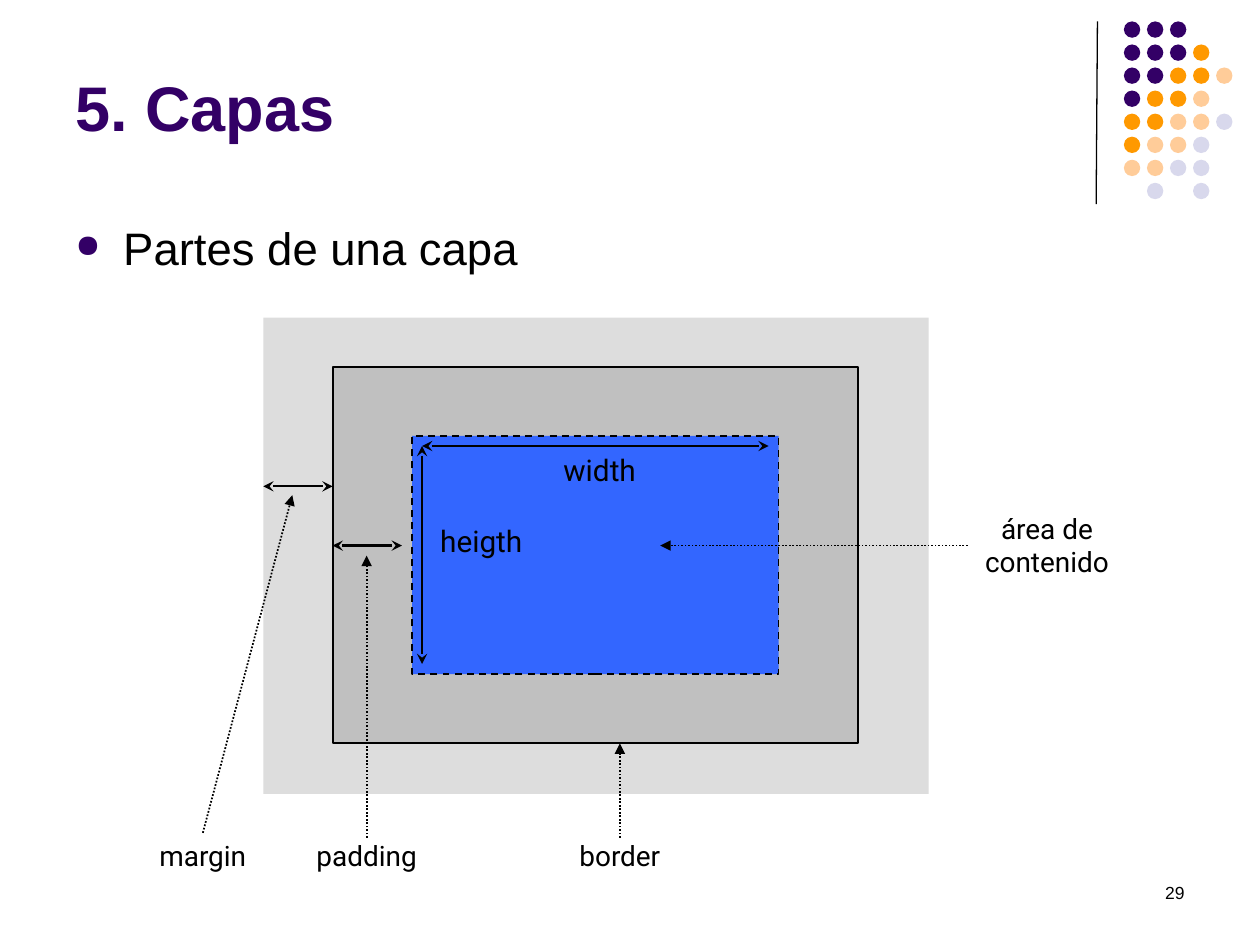
from lxml.etree import SubElement
from pptx import Presentation
from pptx.dml.color import RGBColor
from pptx.enum.dml import MSO_LINE as Dash
from pptx.enum.shapes import MSO_CONNECTOR as Connector, MSO_SHAPE as Shape
from pptx.enum.text import MSO_ANCHOR as Anchor, PP_ALIGN as Align
from pptx.oxml.ns import qn
from pptx.util import Inches, Pt

COLORS = {
    "black": "000000", "purple": "330066", "orange": "FF9900",
    "peach": "FFCC99", "lavender": "D8D8EC", "margin": "DDDDDD",
    "padding": "C0C0C0", "content": "3366FF",
}


def color(name):
    return RGBColor.from_string(COLORS[name])


class SlideBuilder:
    def __init__(self, page):
        self.page = page
        self.heading_font = "Arial"
        self.label_font = "Roboto"

    def text(self, left, top, width, height, words, size, font=None,
             ink="black", align=Align.LEFT, bold=False, anchor=Anchor.TOP):
        box = self.page.shapes.add_textbox(
            Inches(left), Inches(top), Inches(width), Inches(height))
        frame = box.text_frame
        frame.word_wrap = True
        frame.vertical_anchor = anchor
        frame.text = words
        para = frame.paragraphs[0]
        para.alignment = align
        span = para.runs[0].font
        span.name = font or self.heading_font
        span.size = Pt(size)
        span.bold = bold
        span.color.rgb = color(ink)
        return para

    def label(self, left, top, words, size=16, width=1.1, height=0.37):
        self.text(left, top, width, height, words, size,
                  self.label_font, align=Align.CENTER)

    def bullet(self, para, indent, ink, percent):
        para.space_before = Pt(2)
        props = para._p.get_or_add_pPr()
        props.set("marL", str(Inches(indent)))
        props.set("indent", str(-Inches(indent)))
        SubElement(SubElement(props, qn("a:buClr")), qn("a:srgbClr"), val=COLORS[ink])
        SubElement(props, qn("a:buSzPct"), val=str(percent * 1000))
        SubElement(props, qn("a:buChar"), char="●")

    def shape(self, kind, left, top, width, height, fill, line=None, dash=None):
        shape = self.page.shapes.add_shape(
            kind, Inches(left), Inches(top), Inches(width), Inches(height))
        shape.shadow.inherit = False
        shape.fill.solid()
        shape.fill.fore_color.rgb = color(fill)
        if line is None:
            shape.line.fill.background()
        else:
            shape.line.color.rgb = color("black")
            shape.line.width = Pt(line)
            if dash:
                shape.line.dash_style = dash

    def line(self, start, end, width, dash=None, head=None, tail=None):
        points = [Inches(value) for value in (*start, *end)]
        link = self.page.shapes.add_connector(Connector.STRAIGHT, *points)
        link.line.color.rgb = color("black")
        link.line.width = Pt(width)
        if dash:
            link.line.dash_style = dash
        outline = link.line._get_or_add_ln()
        for tag, arrow in (("a:headEnd", head), ("a:tailEnd", tail)):
            if arrow:
                SubElement(outline, qn(tag), type=arrow)
        SubElement(link._element.spPr, qn("a:effectLst"))

    def measure(self, start, end):
        self.line(start, end, 1.25, head="stealth", tail="stealth")

    def pointer(self, start, end):
        self.line(start, end, 1, Dash.ROUND_DOT, tail="triangle")


deck = Presentation()
deck.slide_width, deck.slide_height = Inches(10), Inches(7.5)
builder = SlideBuilder(deck.slides.add_slide(deck.slide_layouts[6]))

# Corner decoration: one letter per dot, a dash for a gap
builder.line((8.71, 0.17), (8.7, 1.62), 0.75)
dot_colors = {"P": "purple", "O": "orange", "S": "peach", "L": "lavender"}
dot_rows = ["PPP", "PPPO", "PPOOS", "POOS", "OOSSL", "OSSL", "SSLL", "-L-L"]
dot_step = 0.183
for row, letters in enumerate(dot_rows):
    for column, letter in enumerate(letters):
        if letter in dot_colors:
            builder.shape(Shape.OVAL, 8.92 + column * dot_step,
                          0.17 + row * dot_step, 0.13, 0.13, dot_colors[letter])

# Title, bullet and slide number
builder.text(7.17, 6.95, 2.33, 0.5, "29", 10, align=Align.RIGHT)
builder.text(0.5, 0.13, 8.28, 1.42, "5. Capas", 36, ink="purple",
             bold=True, anchor=Anchor.MIDDLE)
topic = builder.text(0.5, 1.7, 9, 5.43, "Partes de una capa", 26)
builder.bullet(topic, 0.38, "purple", 70)

# Nested boxes of the layer
builder.shape(Shape.RECTANGLE, 2.09, 2.52, 5.28, 3.78, "margin")
builder.shape(Shape.RECTANGLE, 2.64, 2.91, 4.17, 2.99, "padding", 1.25)
builder.shape(Shape.RECTANGLE, 3.27, 3.46, 2.91, 1.89, "content", 1, Dash.DASH)

# Dimension arrows: width, height, padding, margin
builder.measure((3.35, 3.54), (6.1, 3.54))
builder.measure((3.35, 3.54), (3.35, 5.27))
builder.measure((2.64, 4.33), (3.19, 4.33))
builder.measure((2.09, 3.86), (2.64, 3.86))
builder.label(4.21, 3.54, "width", 17)
builder.label(3.27, 4.1, "heigth", 17)

# Names with dotted pointers
builder.pointer((1.61, 6.61), (2.32, 3.93))
builder.pointer((2.91, 6.65), (2.91, 4.41))
builder.pointer((4.92, 6.65), (4.92, 5.9))
builder.pointer((7.68, 4.33), (5.24, 4.33))
for left, name in ((1.06, "margin"), (2.36, "padding"), (4.37, "border")):
    builder.label(left, 6.61, name)
builder.label(7.68, 4.01, "área de contenido", width=1.26, height=0.64)

deck.save("out.pptx")
